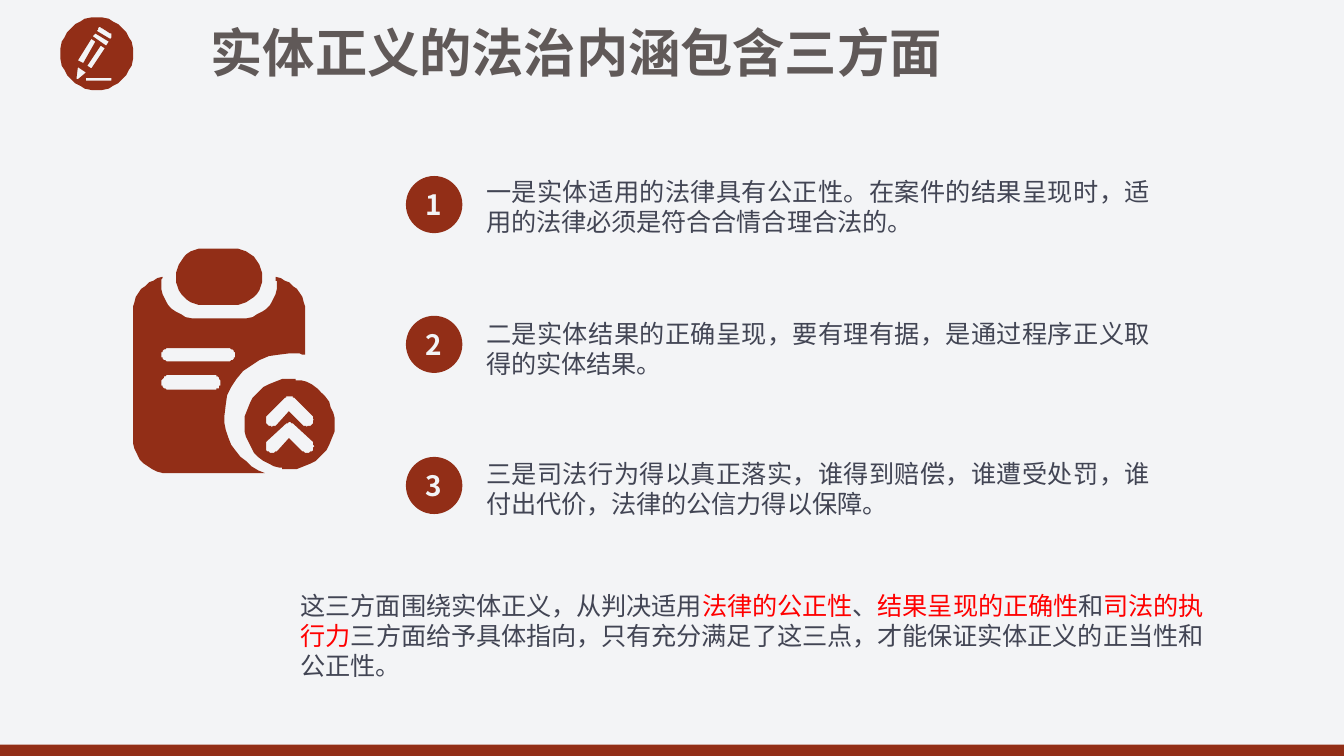
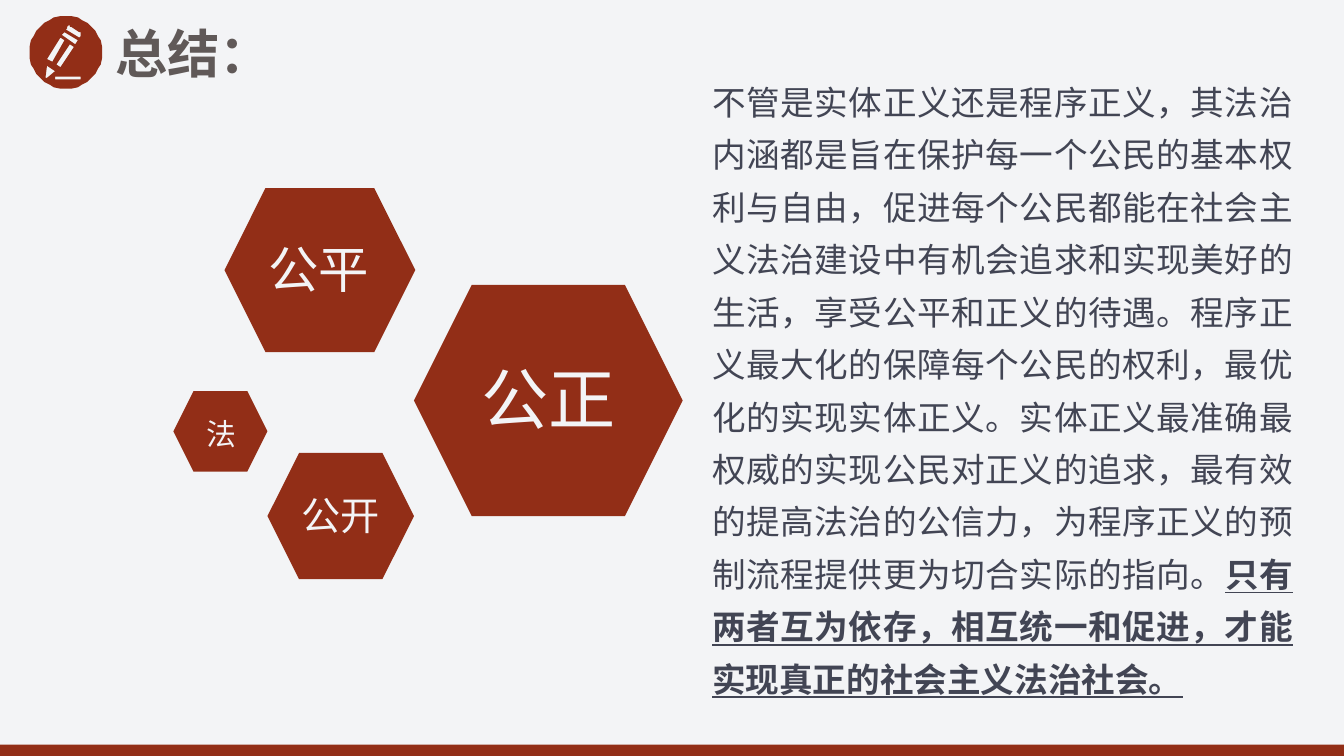
from dataclasses import dataclass

from pptx import Presentation
from pptx.dml.color import RGBColor
from pptx.enum.shapes import MSO_SHAPE as Preset
from pptx.enum.text import MSO_ANCHOR as Anchor, PP_ALIGN as Align
from pptx.oxml.ns import qn
from pptx.util import Emu, Inches, Pt

# A column and a row are each a tenth of an inch: 100 columns by 56.25 rows.
UNIT = Inches(0.1)
COLUMNS, ROWS = 100, 56.25

RED, PAPER, TITLE_GREY, INK, ALERT = "922E17", "F3F4F6", "605958", "424554", "FF0000"
SANS, LATIN = "Noto Sans CJK SC", "Arial"
LINE_HEIGHT = 1.2
CURVE_STEPS = 10


@dataclass(frozen=True)
class Box:
    column: float
    row: float
    columns: float
    rows: float

    def lengths(self) -> tuple:
        return tuple(grid(n) for n in (self.column, self.row, self.columns, self.rows))


@dataclass(frozen=True)
class Run:
    text: str
    color: str = INK
    bold: bool = False
    underline: bool = False


@dataclass(frozen=True)
class Point:
    number: str
    text: str
    circle_row: float
    text_row: float


@dataclass(frozen=True)
class Hexagon:
    word: str
    size: float
    outline: Box
    label: Box


def chevron(top: float) -> str:
    return (f"37 {top} L 50 {top + 13} C 52 {top + 15} 52 {top + 18} 50 {top + 20} "
            f"C 48 {top + 22} 45 {top + 22} 43 {top + 20} L 33 {top + 10} L 24 {top + 20} "
            f"C 22 {top + 22} 19 {top + 22} 17 {top + 20} C 15 {top + 18} 15 {top + 15} 17 {top + 13} "
            f"L 30 {top} C 32 {top - 1.5} 35 {top - 1.5} 37 {top}")


# Closed outlines in tenths of a grid unit: L is a line, C a cubic curve.
PENCIL = (
    "27 0 C 42 0 54 12 54 27 C 54 42 42 54 27 54 C 12 54 0 42 0 27 C 0 12 12 0 27 0",
    "20 45 L 37 45 C 38 45 38 45 38 46 C 38 46 38 47 37 47 L 20 47 "
    "C 19 47 19 46 19 46 C 19 45 19 45 20 45",
    "20 36 L 30 21 L 33 23 L 23 38",
    "13 32 L 23 16 L 26 18 L 17 34",
    "12 45 L 13 37 L 19 41 L 13 46 C 12 46 12 46 12 45",
    "26 12 L 24 14 L 34 21 L 36 18",
    "28 9 C 28 7 30 7 31 8 L 37 12 C 38 12 39 14 38 15 L 37 16 L 27 10",
)
CLIPBOARD = (
    "96 21 C 96 33 86 42 75 42 L 53 42 C 41 42 32 33 32 21 C 32 10 41 0 53 0 "
    "L 75 0 C 86 0 96 10 96 21",
    "106 21 C 106 23 107 24 107 26 C 107 41 95 52 80 52 L 48 52 C 33 52 21 41 21 26 "
    "C 21 24 21 23 22 21 C 9 24 0 34 0 47 L 0 141 C 0 156 12 167 26 167 L 98 167 "
    "C 80 160 68 144 68 124 C 68 98 90 78 116 78 C 120 78 124 78 128 79 "
    "L 128 47 C 128 34 118 24 106 21",
    "60 105 L 26 105 C 24 105 21 103 21 100 C 21 97 24 94 26 94 L 60 94 "
    "C 63 94 65 97 65 100 C 65 103 63 105 60 105",
    "71 84 L 26 84 C 24 84 21 82 21 79 C 21 76 24 74 26 74 L 71 74 "
    "C 73 74 76 76 76 79 C 76 82 73 84 71 84",
)
BADGE = (
    "42 1 C 39 1 36 0 33 0 C 15 0 0 15 0 34 C 0 50 11 63 26 66 C 29 67 31 67 33 67 "
    "C 52 67 67 52 67 34 C 67 18 57 5 42 1",
    chevron(14),
    chevron(33.5),
)

POINTS = (
    Point("1", "一是实体适用的法律具有公正性。在案件的结果呈现时，适用的法律必须是符合合情合理合法的。",
          13.1, 12.6),
    Point("2", "二是实体结果的正确呈现，要有理有据，是通过程序正义取得的实体结果。", 23.5, 23.2),
    Point("3", "三是司法行为得以真正落实，谁得到赔偿，谁遭受处罚，谁付出代价，法律的公信力得以保障。",
          34, 33.6),
)
POINTS_SUMMARY = (
    Run("这三方面围绕实体正义，从判决适用"),
    Run("法律的公正性", ALERT),
    Run("、"),
    Run("结果呈现的正确性", ALERT),
    Run("和"),
    Run("司法的执行力", ALERT),
    Run("三方面给予具体指向，只有充分满足了这三点，才能保证实体正义的正当性和公正性。"),
)
HEXAGONS = (
    Hexagon("法", 16, Box(12.9, 29.1, 7, 6), Box(12.8, 30.7, 7.3, 3.4)),
    Hexagon("公开", 21, Box(19.9, 33.7, 10.9, 9.4), Box(20.7, 36.4, 9.3, 4.2)),
    Hexagon("公正", 36, Box(30.8, 21.2, 20, 17.2), Box(33.9, 26.7, 13.8, 6.4)),
    Hexagon("公平", 27, Box(16.7, 14, 14.2, 12.2), Box(16.8, 17.7, 13.8, 5.1)),
)
CONCLUSION = (
    Run("不管是实体正义还是程序正义，其法治内涵都是旨在保护每一个公民的基本权利与自由，"
        "促进每个公民都能在社会主义法治建设中有机会追求和实现美好的生活，享受公平和正义的待遇。"
        "程序正义最大化的保障每个公民的权利，最优化的实现实体正义。"
        "实体正义最准确最权威的实现公民对正义的追求，最有效的提高法治的公信力，"
        "为程序正义的预制流程提供更为切合实际的指向。"),
    Run("只有两者互为依存，相互统一和促进，才能实现真正的社会主义法治社会。",
        bold=True, underline=True),
)


def grid(count: float) -> Emu:
    return Emu(round(count * UNIT))


def rgb(value: str) -> RGBColor:
    return RGBColor.from_string(value)


def write(shape, *runs: Run, size: float, font: str = SANS, align: Align = Align.LEFT,
          spacing: float = 1, anchor: Anchor = Anchor.TOP) -> None:
    frame = shape.text_frame
    frame.word_wrap = True
    frame.vertical_anchor = anchor
    paragraph = frame.paragraphs[0]
    paragraph.alignment = align
    paragraph.line_spacing = Pt(size * LINE_HEIGHT * spacing)
    for part in runs:
        run = paragraph.add_run()
        run.text = part.text
        run.font.size = Pt(size)
        run.font.name = font
        run.font.bold = part.bold
        run.font.underline = part.underline
        run.font.color.rgb = rgb(part.color)
        properties = run.font._element
        properties.set("lang", "zh-CN")
        east_asian = properties.makeelement(qn("a:ea"), {"typeface": SANS})
        properties.find(qn("a:latin")).addnext(east_asian)


def add_text(shapes, box: Box, *runs: Run, **style) -> None:
    write(shapes.add_textbox(*box.lengths()), *runs, **style)


def paint(shape, color: str = RED):
    shape.shadow.inherit = False
    shape.fill.solid()
    shape.fill.fore_color.rgb = rgb(color)
    shape.line.fill.background()
    return shape


def add_preset(shapes, preset: Preset, box: Box):
    return paint(shapes.add_shape(preset, *box.lengths()))


def trace(outline: str) -> list[tuple]:
    """Turn an outline into points, dividing each curve into short lines."""
    points, numbers = [], []
    for token in outline.split() + ["L"]:
        if token not in ("L", "C"):
            numbers.append(float(token))
            continue
        stops = list(zip(numbers[::2], numbers[1::2]))
        if len(stops) == 3:
            corners = [points[-1], *stops]
            for step in range(1, CURVE_STEPS + 1):
                t = step / CURVE_STEPS
                weights = ((1 - t) ** 3, 3 * t * (1 - t) ** 2, 3 * t * t * (1 - t), t ** 3)
                points.append(tuple(sum(w * corner[axis] for w, corner in zip(weights, corners))
                                    for axis in (0, 1)))
        else:
            points += stops
        numbers = []
    return points


def add_icon(shapes, outlines: tuple, column: float, row: float) -> None:
    first, *others = [trace(outline) for outline in outlines]
    builder = shapes.build_freeform(*first[0], scale=UNIT / 10)
    builder.add_line_segments(first[1:], close=True)
    for points in others:
        builder.move_to(*points[0])
        builder.add_line_segments(points[1:], close=True)
    paint(builder.convert_to_shape(grid(column), grid(row)))


def add_base_slide(presentation, title: str, title_column: float, title_row: float,
                   icon_column: float, icon_row: float):
    """Add a slide with the shared background, bottom band, title and pencil."""
    slide = presentation.slides.add_slide(presentation.slide_layouts[6])
    slide.background.fill.solid()
    slide.background.fill.fore_color.rgb = rgb(PAPER)
    shapes = slide.shapes
    add_preset(shapes, Preset.RECTANGLE, Box(0, 55.4, COLUMNS, ROWS - 55.4))
    add_text(shapes, Box(title_column, title_row, 57, 5.7),
             Run(title, TITLE_GREY, bold=True), size=28)
    add_icon(shapes, PENCIL, icon_column, icon_row)
    return shapes


def build_three_aspects(presentation) -> None:
    shapes = add_base_slide(presentation, "实体正义的法治内涵包含三方面", 14.7, 1, 4.5, 1.3)
    add_icon(shapes, CLIPBOARD, 9.9, 18.5)
    add_icon(shapes, BADGE, 18.2, 28.2)
    for point in POINTS:
        circle = add_preset(shapes, Preset.OVAL, Box(30.2, point.circle_row, 4.2, 4.25))
        frame = circle.text_frame
        frame.margin_left = frame.margin_right = Inches(0.07)
        frame.margin_top = frame.margin_bottom = Inches(0.04)
        write(circle, Run(point.number, PAPER, bold=True), size=15,
              align=Align.CENTER, anchor=Anchor.MIDDLE)
        add_text(shapes, Box(35.2, point.text_row, 51.4, 5.5), Run(point.text),
                 size=13.5, align=Align.JUSTIFY)
    add_text(shapes, Box(21.4, 43.4, 69.3, 7.8), *POINTS_SUMMARY, size=13.5, font=LATIN)


def build_conclusion(presentation) -> None:
    shapes = add_base_slide(presentation, "总结：", 7.6, 1.1, 2.2, 1.2)
    for hexagon in HEXAGONS:
        members = shapes.add_group_shape().shapes
        add_preset(members, Preset.HEXAGON, hexagon.outline)
        add_text(members, hexagon.label, Run(hexagon.word, PAPER), size=hexagon.size,
                 align=Align.CENTER, spacing=0.9)
    add_text(shapes, Box(52, 4.7, 45.2, 48.2), *CONCLUSION, size=18, font=LATIN,
             align=Align.JUSTIFY, spacing=1.3)


def main() -> None:
    presentation = Presentation()
    presentation.slide_width = grid(COLUMNS)
    presentation.slide_height = grid(ROWS)
    build_three_aspects(presentation)
    build_conclusion(presentation)
    presentation.save("out.pptx")


if __name__ == "__main__":
    main()
